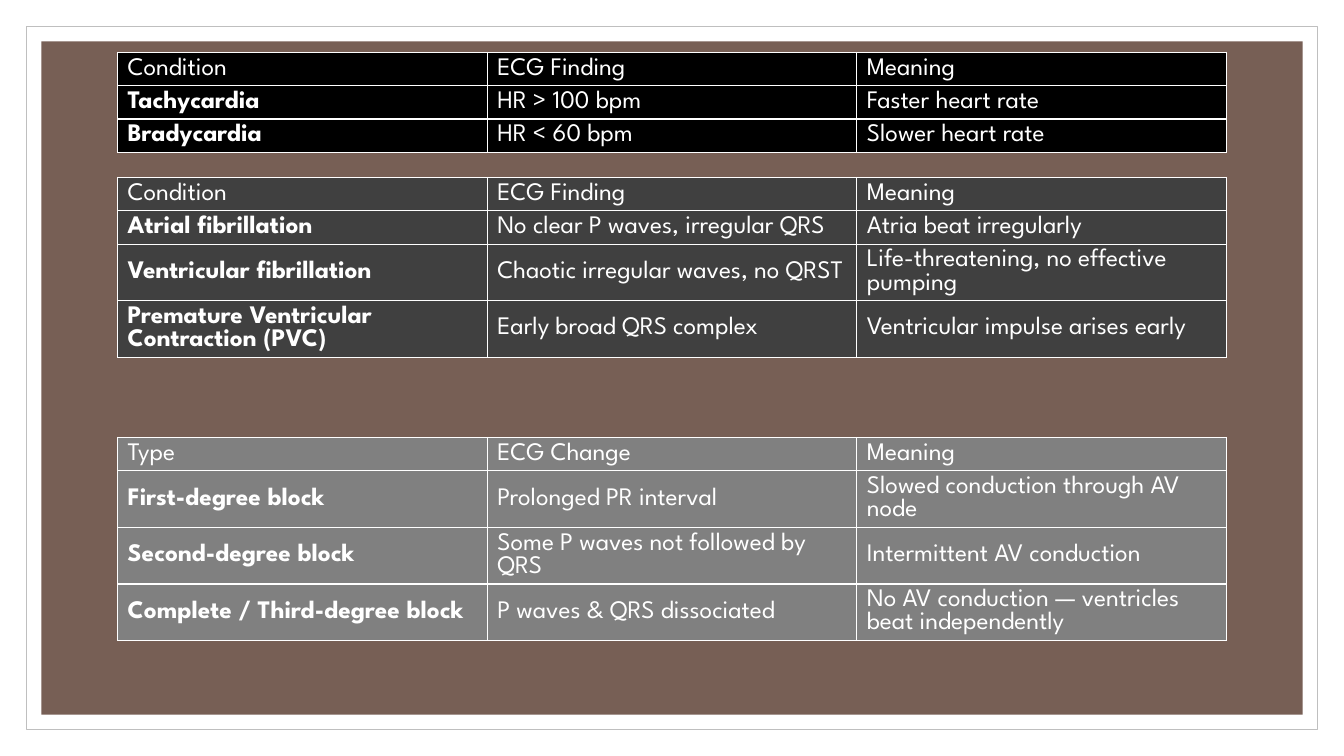
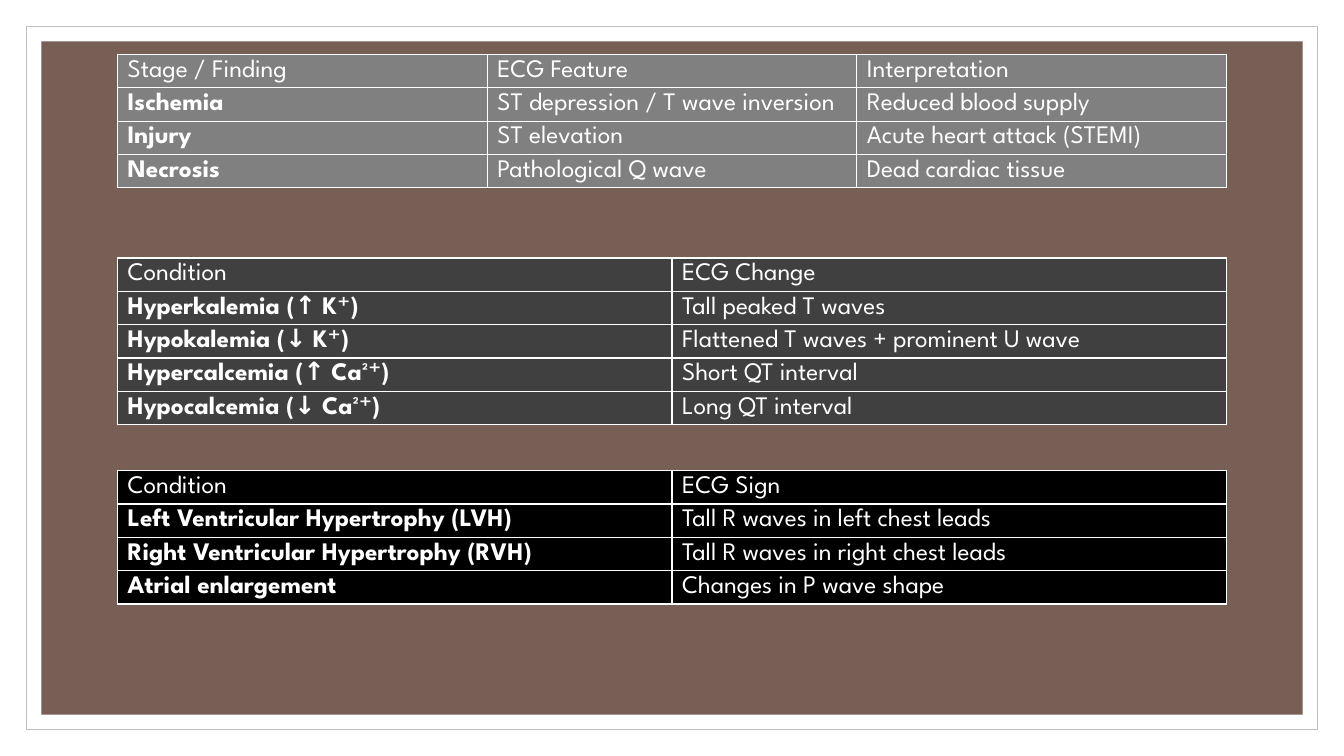
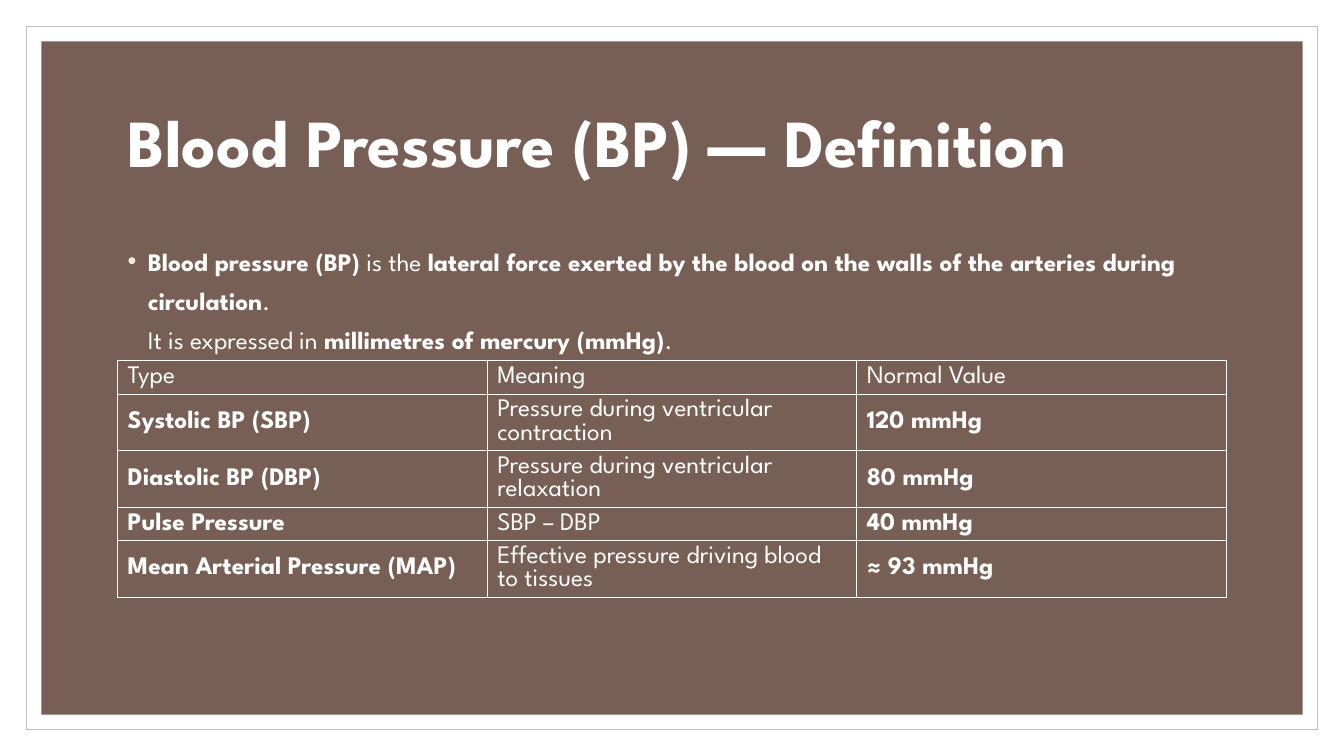
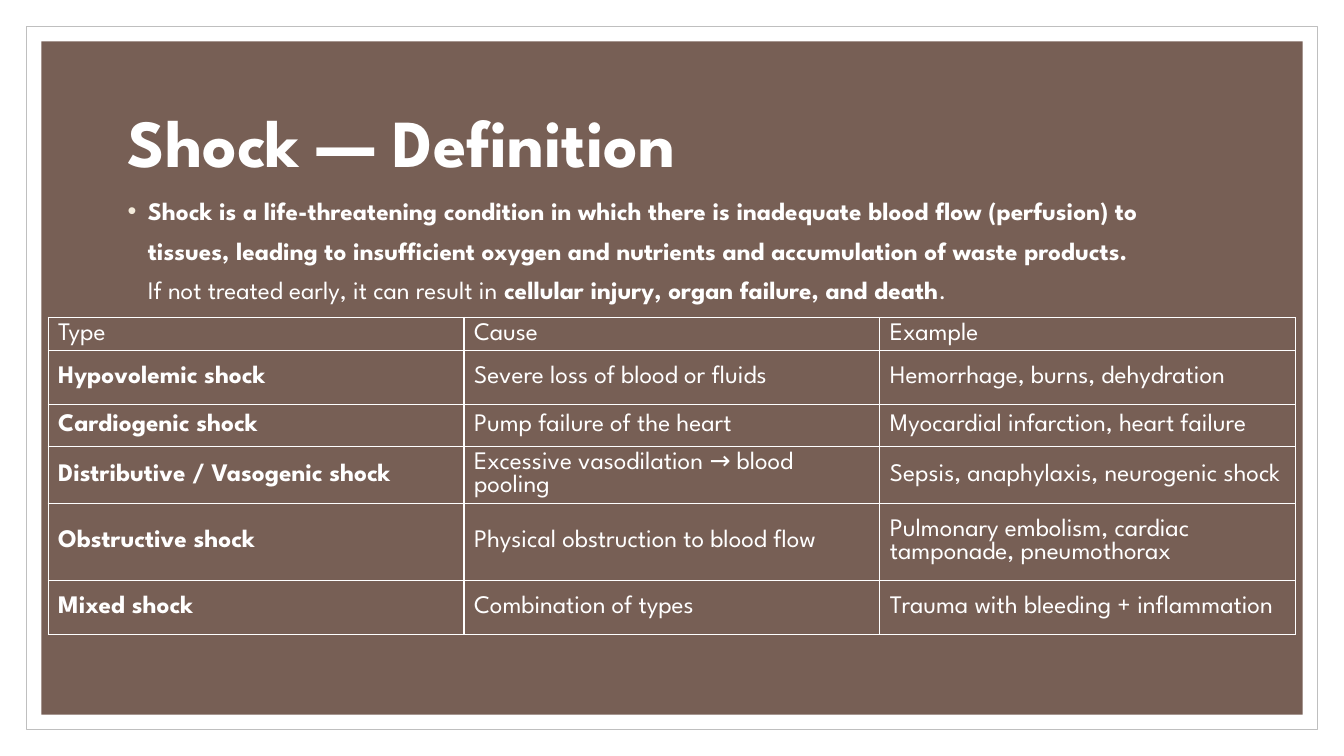
from lxml.etree import SubElement as Sub
from pptx import Presentation
from pptx.dml.color import RGBColor
from pptx.enum.shapes import MSO_SHAPE as Shape
from pptx.enum.text import MSO_ANCHOR as Anchor, MSO_AUTO_SIZE as Fit, PP_ALIGN as Align
from pptx.oxml.ns import qn
from pptx.util import Inches, Pt

FONT = "League Spartan"
WHITE, BROWN, GREY, CREAM = "FFFFFF", "775F55", "BFBFBF", "F3EBDB"
BLACK, DARK, MID = "000000", "404040", "808080"
WIDE, HIGH = Inches(13.33), Inches(7.5)
SIDE = 8.75  # left and right margin, percent of the slide width
ROW = 4.4    # one-line table row, percent of the slide height


def rgb(code):
    return RGBColor.from_string(code)


def area(side, top, high):
    """Centred box, from percent shares of the slide."""
    left = int(WIDE * side / 100)
    return left, int(HIGH * top / 100), WIDE - 2 * left, int(HIGH * high / 100)


def put(frame, text, size=18, bold=False, lead=1.0, anchor=Anchor.MIDDLE, bullet=None):
    """Write text; parts between * marks swap the weight, \\n breaks the line."""
    frame.word_wrap = True
    para = frame.paragraphs[0]
    para.alignment = Align.LEFT
    para.line_spacing, para.space_before = lead, Pt(0)
    if bullet:
        props = para._p.get_or_add_pPr()
        props.set("marL", str(Inches(0.2)))
        props.set("indent", str(-Inches(0.2)))
        Sub(Sub(props, qn("a:buClr")), qn("a:srgbClr"), val=bullet)
        Sub(props, qn("a:buChar"), char="•")
    for i, part in enumerate(text.split("*")):
        for j, line in enumerate(part.split("\n")):
            if j:
                para.add_line_break()
            if line:
                run = para.add_run()
                run.text = line
                font = run.font
                font.name, font.size = FONT, Pt(size)
                font.bold = bold != bool(i % 2)
                font.color.rgb = rgb(WHITE)
    if anchor is not None:
        frame.vertical_anchor = anchor


def frame(deck, slide):
    """White mat and brown panel, kept on the master behind all slides."""
    tree = deck.slide_master.shapes.element
    panes = [(1.95, 3.47, WHITE, GREY), (3.08, 5.47, BROWN, None)]
    for i, (side, top, fill, edge) in enumerate(panes):
        pane = slide.shapes.add_shape(Shape.RECTANGLE, *area(side, top, 100 - 2 * top))
        pane.shadow.inherit = False
        pane.fill.solid()
        pane.fill.fore_color.rgb = rgb(fill)
        if edge:
            pane.line.color.rgb = rgb(edge)
            pane.line.width = Pt(0.5)
        else:
            pane.line.fill.background()
        pane.element.nvSpPr.cNvPr.set("id", str(100 + i))
        tree.insert(2 + i, pane.element)


def edges(cell):
    props = cell._tc.get_or_add_tcPr()
    for side in "LRTB":
        line = Sub(props, qn("a:ln" + side), w=str(Pt(1)))
        Sub(Sub(line, qn("a:solidFill")), qn("a:srgbClr"), val=WHITE)


def grid(slide, top, rows, fill=None, side=SIDE, highs=None, strong=(0,)):
    """Table with equal columns; the strong columns are bold below the head."""
    highs = highs or [ROW] * len(rows)
    box = area(side, top, sum(highs))
    table = slide.shapes.add_table(len(rows), len(rows[0]), *box).table
    table.first_row = table.horz_banding = False
    for r, texts in enumerate(rows):
        table.rows[r].height = int(HIGH * highs[r] / 100)
        for c, text in enumerate(texts):
            cell = table.cell(r, c)
            edges(cell)
            if fill:
                cell.fill.solid()
                cell.fill.fore_color.rgb = rgb(fill)
            else:
                cell.fill.background()
            put(cell.text_frame, text, bold=r > 0 and c in strong, anchor=None)
            cell.vertical_anchor = Anchor.MIDDLE


def tables(slide, parts):
    """Slide made of tables only."""
    for top, fill, rows in parts:
        grid(slide, top, rows, fill)


def define(slide, title, body, drop, top, rows, **look):
    """Slide with a title, a definition and a table."""
    spots = [(slide.shapes.title, title, area(SIDE, 9.33, 20),
              dict(size=48, bold=True, lead=0.9)),
             (slide.placeholders[1], body, area(SIDE, drop, 57.33),
              dict(lead=1.3, anchor=Anchor.TOP, bullet=CREAM))]
    for spot, text, box, style in spots:
        spot.left, spot.top, spot.width, spot.height = box
        spot.text_frame.auto_size = Fit.NONE
        put(spot.text_frame, text, **style)
    grid(slide, top, rows, **look)


RHYTHM = [
    (6.93, BLACK, [
        ("Condition", "ECG Finding", "Meaning"),
        ("Tachycardia", "HR > 100 bpm", "Faster heart rate"),
        ("Bradycardia", "HR < 60 bpm", "Slower heart rate")]),
    (23.47, DARK, [
        ("Condition", "ECG Finding", "Meaning"),
        ("Atrial fibrillation", "No clear P waves, irregular QRS", "Atria beat irregularly"),
        ("Ventricular fibrillation", "Chaotic irregular waves, no QRST",
         "Life-threatening, no effective pumping"),
        ("Premature Ventricular Contraction (PVC)", "Early broad QRS complex",
         "Ventricular impulse arises early")]),
    (57.87, MID, [
        ("Type", "ECG Change", "Meaning"),
        ("First-degree block", "Prolonged PR interval", "Slowed conduction through AV node"),
        ("Second-degree block", "Some P waves not followed by QRS",
         "Intermittent AV conduction"),
        ("Complete / Third-degree block", "P waves & QRS dissociated",
         "No AV conduction — ventricles beat independently")]),
]
SIGNS = [
    (7.2, MID, [
        ("Stage / Finding", "ECG Feature", "Interpretation"),
        ("Ischemia", "ST depression / T wave inversion", "Reduced blood supply"),
        ("Injury", "ST elevation", "Acute heart attack (STEMI)"),
        ("Necrosis", "Pathological Q wave", "Dead cardiac tissue")]),
    (34.13, DARK, [
        ("Condition", "ECG Change"),
        ("Hyperkalemia (↑ K⁺)", "Tall peaked T waves"),
        ("Hypokalemia (↓ K⁺)", "Flattened T waves + prominent U wave"),
        ("Hypercalcemia (↑ Ca²⁺)", "Short QT interval"),
        ("Hypocalcemia (↓ Ca²⁺)", "Long QT interval")]),
    (62.27, BLACK, [
        ("Condition", "ECG Sign"),
        ("Left Ventricular Hypertrophy (LVH)", "Tall R waves in left chest leads"),
        ("Right Ventricular Hypertrophy (RVH)", "Tall R waves in right chest leads"),
        ("Atrial enlargement", "Changes in P wave shape")]),
]
PRESSURE = [
    ("Type", "Meaning", "Normal Value"),
    ("Systolic BP (SBP)", "Pressure during ventricular contraction", "120 mmHg"),
    ("Diastolic BP (DBP)", "Pressure during ventricular relaxation", "80 mmHg"),
    ("Pulse Pressure", "SBP – DBP", "40 mmHg"),
    ("Mean Arterial Pressure (MAP)", "Effective pressure driving blood to tissues",
     "≈ 93 mmHg"),
]
SHOCK = [
    ("Type", "Cause", "Example"),
    ("Hypovolemic shock", "Severe loss of blood or fluids", "Hemorrhage, burns, dehydration"),
    ("Cardiogenic shock", "Pump failure of the heart", "Myocardial infarction, heart failure"),
    ("Distributive / Vasogenic shock", "Excessive vasodilation → blood pooling",
     "Sepsis, anaphylaxis, neurogenic shock"),
    ("Obstructive shock", "Physical obstruction to blood flow",
     "Pulmonary embolism, cardiac tamponade, pneumothorax"),
    ("Mixed shock", "Combination of types", "Trauma with bleeding + inflammation"),
]


def main():
    deck = Presentation()
    deck.slide_width, deck.slide_height = WIDE, HIGH
    text, blank = deck.slide_layouts[1], deck.slide_layouts[6]
    add = deck.slides.add_slide

    # Tables of ECG findings
    first = add(blank)
    frame(deck, first)
    tables(first, RHYTHM)
    tables(add(blank), SIGNS)

    # Definitions
    define(add(text), "Blood Pressure (BP) — Definition",
           "*Blood pressure (BP)* is the *lateral force exerted by the blood on the walls "
           "of the arteries during circulation*.\n"
           "It is expressed in *millimetres of mercury (mmHg)*.",
           30.67, 47.73, PRESSURE, strong=(0, 2))
    define(add(text), "Shock — Definition",
           "*Shock is a life-threatening condition in which there is inadequate blood flow "
           "(perfusion) to tissues, leading to insufficient oxygen and nutrients and "
           "accumulation of waste products.\n*"
           "If not treated early, it can result in "
           "*cellular injury, organ failure, and death*.",
           24, 42, SHOCK, side=3.58, highs=[ROW, 7.1, 5.6, 7.2, 10.2, 7.2])
    deck.save("out.pptx")


if __name__ == "__main__":
    main()
